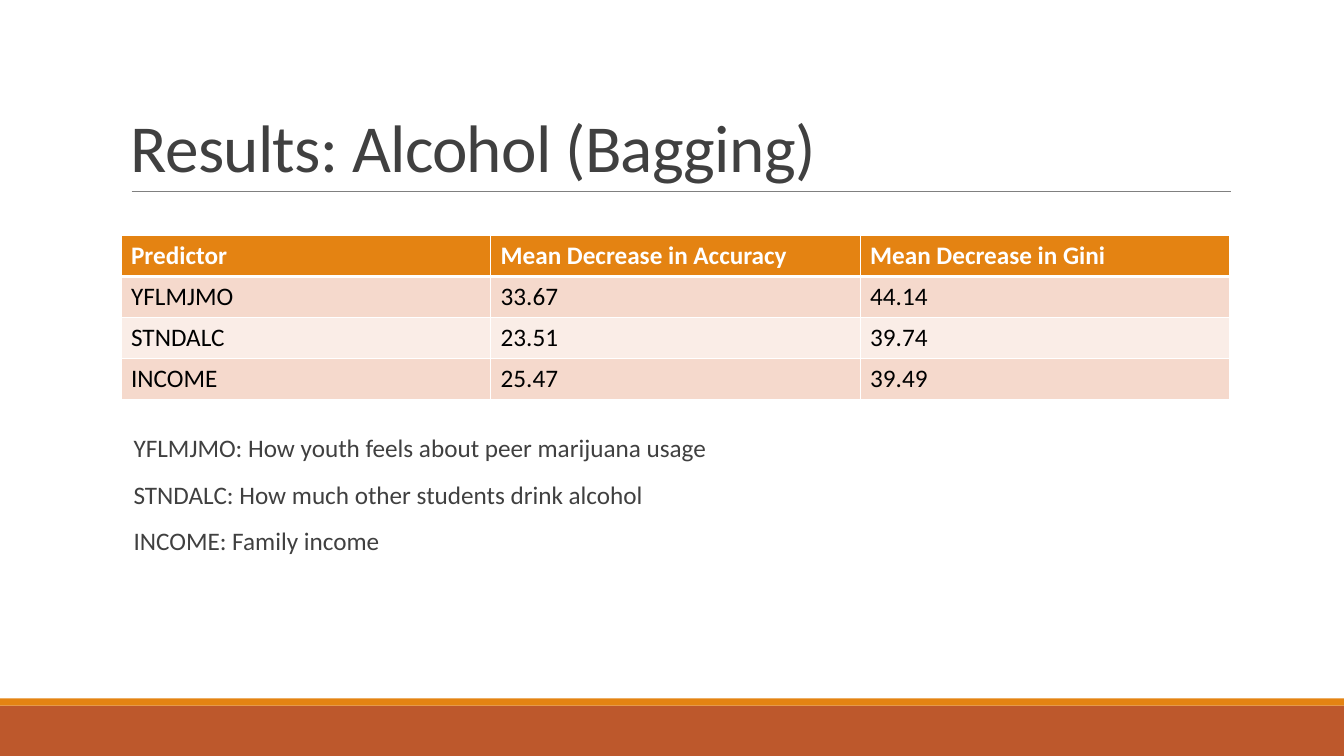
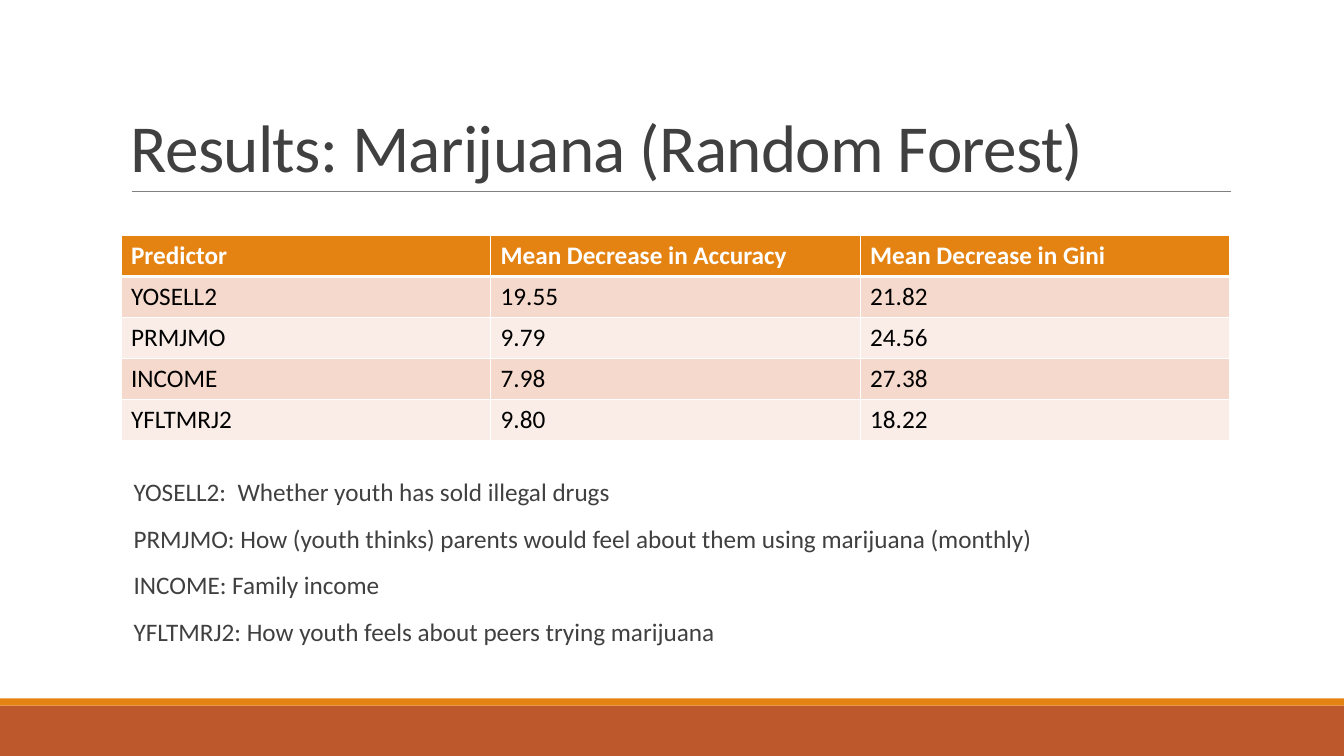
"""Build two result slides, each with a predictor table and its glossary."""
from dataclasses import dataclass

from lxml import etree
from pptx import Presentation
from pptx import util as u
from pptx.dml.color import RGBColor
from pptx.enum import shapes, text
from pptx.oxml import ns


@dataclass(frozen=True)
class Theme:
    font: str = "Calibri"
    title_size: int = 48
    body_size: int = 18
    ink: str = "404040"
    cell_ink: str = "000000"
    white: str = "FFFFFF"
    rule: str = "808080"
    orange: str = "E48312"
    rust: str = "BD582C"
    stripes: tuple[str, str] = ("F5D9CC", "FAEDE7")


@dataclass(frozen=True)
class Band:
    top: float
    height: float
    color: str


@dataclass(frozen=True)
class Predictor:
    code: str
    accuracy: str
    gini: str
    meaning: str


@dataclass(frozen=True)
class Result:
    title: str
    glossary_top: float
    predictors: tuple[Predictor, ...]


THEME = Theme()
WIDTH, HEIGHT = 33.87, 19.05
LEFT, CONTENT_WIDTH = 3.05, 27.94
TABLE_TOP, ROW_HEIGHT = 5.94, 1.03
RULE_LEFT, RULE_RIGHT, RULE_TOP = 3.32, 31.01, 4.83
HEADINGS = ("Predictor", "Mean Decrease in Accuracy", "Mean Decrease in Gini")
BANDS = (Band(17.78, 1.27, THEME.rust), Band(17.6, 0.18, THEME.orange))
RESULTS = (
    Result("Results: Alcohol (Bagging)", 10.85, (
        Predictor("YFLMJMO", "33.67", "44.14", "YFLMJMO: How youth feels about peer marijuana usage"),
        Predictor("STNDALC", "23.51", "39.74", "STNDALC: How much other students drink alcohol"),
        Predictor("INCOME", "25.47", "39.49", "INCOME: Family income"),
    )),
    Result("Results: Marijuana (Random Forest)", 11.96, (
        Predictor("YOSELL2", "19.55", "21.82", "YOSELL2:  Whether youth has sold illegal drugs"),
        Predictor("PRMJMO", "9.79", "24.56",
                  "PRMJMO: How (youth thinks) parents would feel about them using marijuana (monthly)"),
        Predictor("INCOME", "7.98", "27.38", "INCOME: Family income"),
        Predictor("YFLTMRJ2", "9.80", "18.22", "YFLTMRJ2: How youth feels about peers trying marijuana"),
    )),
)


def add_run(paragraph, words: str, size: int, color: str, bold: bool = False):
    run = paragraph.add_run()
    run.text = words
    run.font.name = THEME.font
    run.font.size = u.Pt(size)
    run.font.bold = bold
    run.font.color.rgb = RGBColor.from_string(color)
    return run


def add_frame(slide, top: float, height: float):
    box = slide.shapes.add_textbox(u.Cm(LEFT), u.Cm(top), u.Cm(CONTENT_WIDTH), u.Cm(height))
    box.text_frame.word_wrap = True
    return box.text_frame


def draw_band(slide, band: Band) -> None:
    strip = slide.shapes.add_shape(shapes.MSO_SHAPE.RECTANGLE, 0, u.Cm(band.top),
                                   u.Cm(WIDTH), u.Cm(band.height))
    strip.shadow.inherit = False
    strip.fill.solid()
    strip.fill.fore_color.rgb = RGBColor.from_string(band.color)
    strip.line.fill.background()


def draw_title(slide, words: str) -> None:
    rule = slide.shapes.add_connector(shapes.MSO_CONNECTOR.STRAIGHT, u.Cm(RULE_LEFT), u.Cm(RULE_TOP),
                                      u.Cm(RULE_RIGHT), u.Cm(RULE_TOP))
    rule.line.color.rgb = RGBColor.from_string(THEME.rule)
    rule.line.width = u.Pt(0.5)
    etree.SubElement(rule._element.spPr, ns.qn("a:effectLst"))
    frame = add_frame(slide, 0.79, 4.04)
    frame.vertical_anchor = text.MSO_ANCHOR.BOTTOM
    heading = frame.paragraphs[0]
    heading.line_spacing = 0.85
    run = add_run(heading, words, THEME.title_size, THEME.ink)
    run._r.get_or_add_rPr().set("spc", "-50")


def set_borders(cell, top: float, bottom: float) -> None:
    properties = cell._tc.get_or_add_tcPr()
    for index, (side, points) in enumerate((("L", 1), ("R", 1), ("T", top), ("B", bottom))):
        border = etree.Element(ns.qn(f"a:ln{side}"), w=str(u.Pt(points)))
        fill = etree.SubElement(border, ns.qn("a:solidFill"))
        etree.SubElement(fill, ns.qn("a:srgbClr"), val=THEME.white)
        properties.insert(index, border)


def draw_table(slide, predictors: tuple[Predictor, ...]) -> None:
    rows = [HEADINGS] + [(p.code, p.accuracy, p.gini) for p in predictors]
    table = slide.shapes.add_table(len(rows), len(HEADINGS), u.Cm(LEFT), u.Cm(TABLE_TOP),
                                   u.Cm(CONTENT_WIDTH), u.Cm(ROW_HEIGHT * len(rows))).table
    for row_index, values in enumerate(rows):
        table.rows[row_index].height = u.Cm(ROW_HEIGHT)
        header = row_index == 0
        color = THEME.orange if header else THEME.stripes[(row_index - 1) % 2]
        ink = THEME.white if header else THEME.cell_ink
        for column, value in enumerate(values):
            cell = table.cell(row_index, column)
            cell.fill.solid()
            cell.fill.fore_color.rgb = RGBColor.from_string(color)
            set_borders(cell, 3 if row_index == 1 else 1, 3 if header else 1)
            add_run(cell.text_frame.paragraphs[0], value, THEME.body_size, ink, header)


def draw_glossary(slide, result: Result) -> None:
    frame = add_frame(slide, result.glossary_top, 6.73)
    frame.margin_left = frame.margin_right = 0
    for index, predictor in enumerate(result.predictors):
        entry = frame.add_paragraph() if index else frame.paragraphs[0]
        entry.line_spacing = 0.9
        entry.space_before = u.Pt(12)
        entry.space_after = u.Pt(2)
        properties = entry._p.get_or_add_pPr()
        properties.set("marL", str(u.Cm(0.25)))
        properties.set("indent", str(-u.Cm(0.25)))
        bullet_color = etree.SubElement(properties, ns.qn("a:buClr"))
        etree.SubElement(bullet_color, ns.qn("a:srgbClr"), val=THEME.orange)
        etree.SubElement(properties, ns.qn("a:buChar"), char=" ")
        add_run(entry, predictor.meaning, THEME.body_size, THEME.ink)


def main() -> None:
    deck = Presentation()
    deck.slide_width, deck.slide_height = u.Cm(WIDTH), u.Cm(HEIGHT)
    for result in RESULTS:
        slide = deck.slides.add_slide(deck.slide_layouts[6])
        for band in BANDS:
            draw_band(slide, band)
        draw_title(slide, result.title)
        draw_table(slide, result.predictors)
        draw_glossary(slide, result)
    deck.save("out.pptx")


if __name__ == "__main__":
    main()
